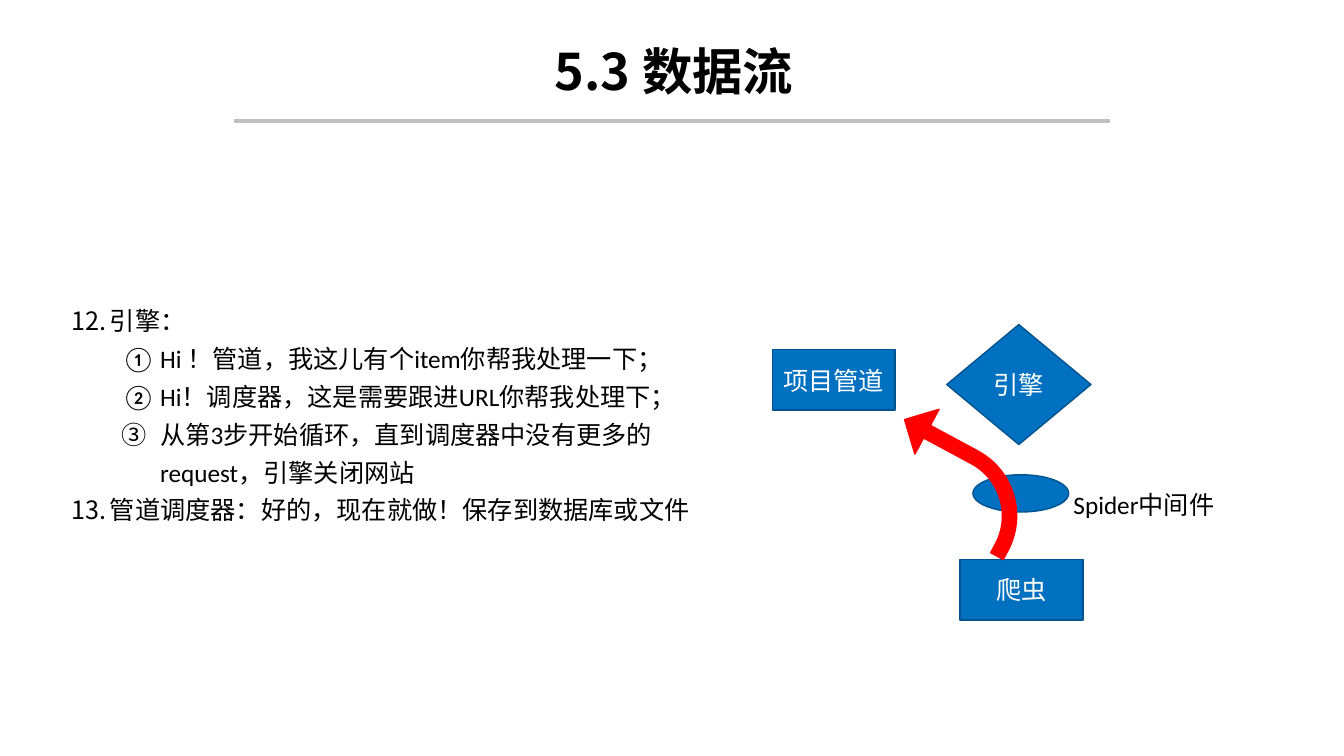
from pptx import Presentation
from pptx.dml.color import RGBColor
from pptx.enum.shapes import MSO_CONNECTOR, MSO_SHAPE
from pptx.enum.text import MSO_ANCHOR, PP_ALIGN
from pptx.oxml.ns import qn
from pptx.util import Inches, Pt
from lxml.etree import SubElement

THEME = {
    "black": RGBColor(0, 0, 0),
    "white": RGBColor(255, 255, 255),
    "blue": RGBColor(0x00, 0x70, 0xC0),
    "edge": RGBColor(0x00, 0x53, 0x8E),
    "red": RGBColor(255, 0, 0),
    "gray": RGBColor(0xBF, 0xBF, 0xBF),
    "latin": "Calibri",
    "cjk": "Noto Sans CJK SC",
    "title": Pt(36),
    "body": Pt(18),
}

prs = Presentation()
prs.slide_width, prs.slide_height = Inches(13.33), Inches(7.5)
s = prs.slides.add_slide(prs.slide_layouts[6])


def share(x, y, w, h):
    W, H = prs.slide_width / 100, prs.slide_height / 100
    return int(x * W), int(y * H), int(w * W), int(h * H)


def add_run(p, text, color, size=THEME["body"], latin=THEME["latin"], bold=False):
    r = p.add_run()
    r.text = text
    r.font.size, r.font.bold, r.font.name = size, bold, latin
    r.font.color.rgb = color
    SubElement(r.font._element, qn("a:ea"), typeface=THEME["cjk"])


for y, color in [(16, "gray"), (16.53, "white")]:
    x1, y1, x2, y2 = share(17.4, y, 82.6, y)
    rule = s.shapes.add_connector(MSO_CONNECTOR.STRAIGHT, x1, y1, x2, y2)
    rule.line.color.rgb, rule.line.width = THEME[color], Pt(2.25)
    SubElement(rule._element.spPr, qn("a:effectLst"))

tf = s.shapes.add_textbox(*share(16.8, 5.33, 66.7, 9.07)).text_frame
tf.word_wrap, tf.vertical_anchor = True, MSO_ANCHOR.MIDDLE
p = tf.paragraphs[0]
p.alignment, p.line_spacing = PP_ALIGN.CENTER, 0.9
add_run(p, "5.3 数据流", THEME["black"], THEME["title"], THEME["cjk"], True)

nodes = [
    (MSO_SHAPE.FLOWCHART_DECISION, (70.44, 42.93, 10.73, 15.87), "引擎"),
    (MSO_SHAPE.RECTANGLE, (71.42, 74, 9.15, 8), "爬虫"),
    (MSO_SHAPE.RECTANGLE, (57.46, 46.27, 9.15, 8), "项目管道"),
    (MSO_SHAPE.FLOWCHART_CONNECTOR, (72.39, 62.8, 7.13, 4.93), ""),
]
for kind, box, text in nodes:
    sp = s.shapes.add_shape(kind, *share(*box))
    sp.shadow.inherit = False
    sp.fill.solid()
    sp.fill.fore_color.rgb = THEME["blue"]
    sp.line.color.rgb, sp.line.width = THEME["edge"], Pt(1)
    tf = sp.text_frame
    tf.vertical_anchor = MSO_ANCHOR.MIDDLE
    if text:
        p = tf.paragraphs[0]
        p.alignment = PP_ALIGN.CENTER
        add_run(p, text, THEME["white"])

tf = s.shapes.add_textbox(*share(79.07, 64.13, 12.08, 5.33)).text_frame
tf.word_wrap = True
p = tf.paragraphs[0]
p.alignment = PP_ALIGN.CENTER
add_run(p, "Spider中间件", THEME["black"])

steps = [
    (0, "引擎："),
    (1, "Hi ！管道，我这儿有个item你帮我处理一下；"),
    (1, "Hi！调度器，这是需要跟进URL你帮我处理下；"),
    (1, "从第3步开始循环，直到调度器中没有更多的request，引擎关闭网站"),
    (0, "管道调度器：好的，现在就做！保存到数据库或文件"),
]
numbering = [{"type": "arabicPeriod", "startAt": "12"}, {"type": "circleNumDbPlain"}]
tf = s.shapes.add_textbox(*share(4.58, 38.8, 50.04, 31.2)).text_frame
tf.word_wrap = True
for i, (level, text) in enumerate(steps):
    p = tf.add_paragraph() if i else tf.paragraphs[0]
    p.level, p.line_spacing = level, 1.25
    pPr = p._p.get_or_add_pPr()
    pPr.set("marL", str(Inches(0.38 + 0.5 * level)))
    pPr.set("indent", str(-Inches(0.38)))
    SubElement(pPr, qn("a:buFont"), typeface=THEME["cjk"])
    SubElement(pPr, qn("a:buAutoNum"), numbering[level])
    add_run(p, text, THEME["black"])

arrow = s.shapes.add_shape(MSO_SHAPE.BENT_ARROW, *share(65.72, 56.53, 11.4, 13.47))
arrow.shadow.inherit = False
arrow.rotation = 208.3
arrow._element.spPr.xfrm.set("flipV", "1")
for i, value in enumerate([0.14, 0.25, 0.25, 0.724]):
    arrow.adjustments[i] = value
arrow.fill.solid()
arrow.fill.fore_color.rgb = THEME["red"]
arrow.line.color.rgb, arrow.line.width = THEME["red"], Pt(1)

prs.save("out.pptx")
